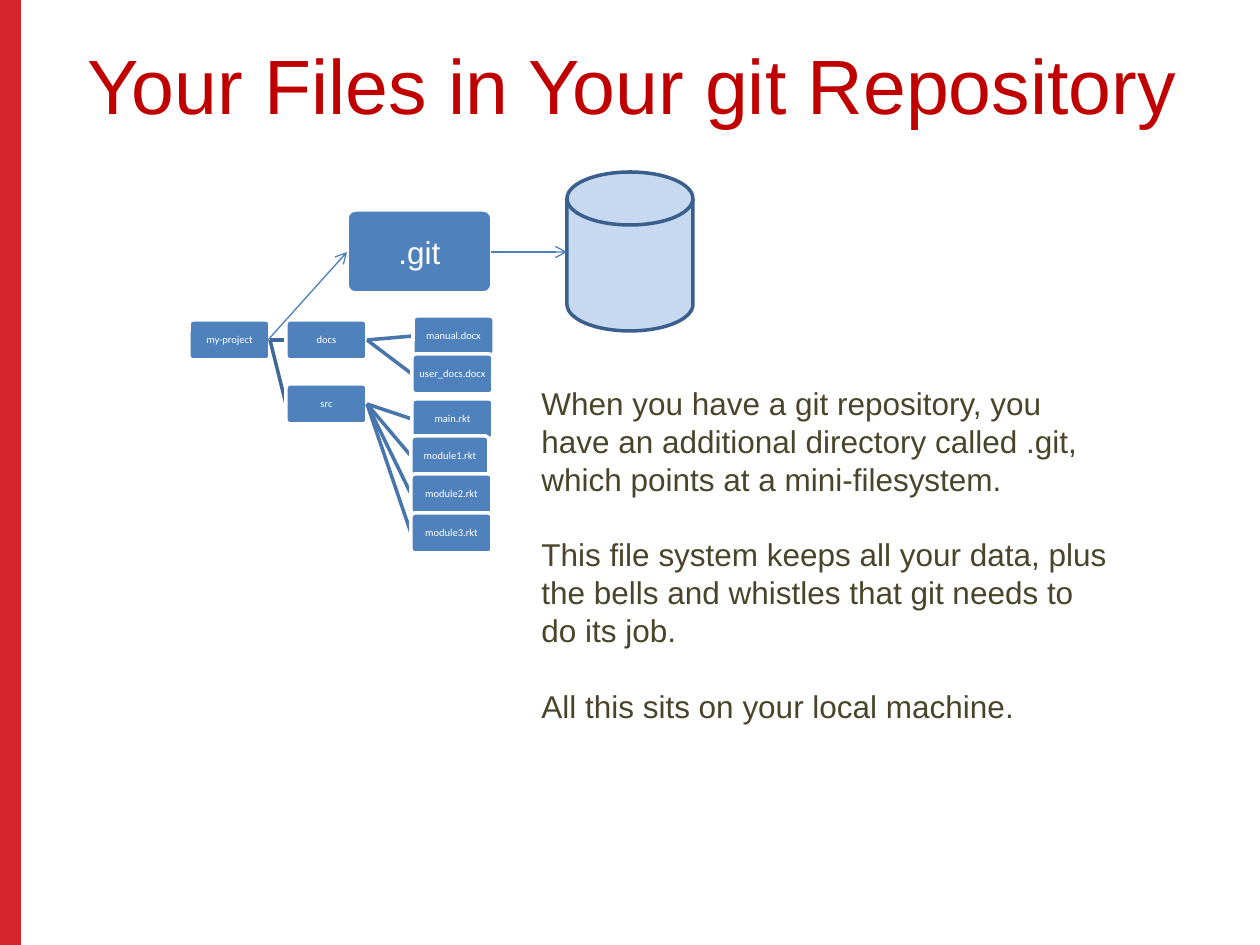
from lxml import etree
from pptx import Presentation
from pptx.dml.color import RGBColor
from pptx.enum.shapes import MSO_CONNECTOR, MSO_SHAPE
from pptx.enum.text import MSO_ANCHOR, PP_ALIGN
from pptx.oxml.ns import qn
from pptx.util import Emu, Pt

RECT, ROUND = MSO_SHAPE.RECTANGLE, MSO_SHAPE.ROUNDED_RECTANGLE
DISK = MSO_SHAPE.FLOWCHART_MAGNETIC_DISK
STRAIGHT = MSO_CONNECTOR.STRAIGHT
MIDDLE, TOP = MSO_ANCHOR.MIDDLE, MSO_ANCHOR.TOP
CENTER, LEFT = PP_ALIGN.CENTER, PP_ALIGN.LEFT

SCALE = 914400 / 126
COLORS = {
    "bar": "D10006", "title": "C00000", "body": "4A452A", "white": "FFFFFF",
    "node": "4F81BD", "disk": "C6D9F1", "edge": "3A5F8C",
    "trunk": "3F6797", "branch": "4875AC", "arrow": "4B7EBC",
}
NODE_TEXT = {"line_spacing": 0.9, "alignment": CENTER}
BODY_TEXT = {"line_spacing": Pt(21.6), "alignment": LEFT}

# name, left, top, width, children
TREE = ("my-project", 189, 320, 81, [
    ("docs", 286, 320, 81, [
        ("manual.docx", 413, 316, 81, []),
        ("user_docs.docx", 412, 354, 81, []),
    ]),
    ("src", 286, 384, 81, [
        ("main.rkt", 412, 399, 81, []),
        ("module1.rkt", 411, 436, 78, []),
        ("module2.rkt", 411, 474, 81, []),
        ("module3.rkt", 411, 513, 81, []),
    ]),
])
NODE_H = 40

BODY = [
    "When you have a git repository, you have an additional directory "
    "called .git, which points at a mini-filesystem.",
    "This file system keeps all your data, plus the bells and whistles "
    "that git needs to do its job.",
    "All this sits on your local machine.",
]


def px(*values):
    return [Emu(round(v * SCALE)) for v in values]


def color(name):
    return RGBColor.from_string(COLORS[name])


class Deck:
    def __init__(self, wide, high):
        self.file = Presentation()
        self.file.slide_width, self.file.slide_height = px(wide, high)
        self.slide = self.file.slides.add_slide(self.file.slide_layouts[6])
        self.font = "Arial"

    def label(self, shape, lines, size, ink, anchor, form, font=None, inset=None):
        frame = shape.text_frame
        values = {"word_wrap": True, "vertical_anchor": anchor}
        if inset is not None:
            for side in ("left", "right", "top", "bottom"):
                values["margin_" + side] = Emu(inset)
        for key, value in values.items():
            setattr(frame, key, value)
        for i, line in enumerate(lines):
            para = frame.add_paragraph() if i else frame.paragraphs[0]
            for key, value in form.items():
                setattr(para, key, value)
            if i:
                para.space_before = Pt(21.6)
            run = para.add_run()
            run.text = line
            run.font.name = font or self.font
            run.font.size = Pt(size)
            run.font.color.rgb = color(ink)

    def text(self, box, *style):
        self.label(self.slide.shapes.add_textbox(*px(*box)), *style)

    def shape(self, kind, box, fill, edge=None, alpha=None):
        shape = self.slide.shapes.add_shape(kind, *px(*box))
        shape.shadow.inherit = False
        shape.fill.solid()
        shape.fill.fore_color.rgb = color(fill)
        if alpha:
            tint = shape._element.spPr.find(".//" + qn("a:srgbClr"))
            etree.SubElement(tint, qn("a:alpha"), val=str(alpha * 1000))
        if edge:
            shape.line.color.rgb = color(edge)
            shape.line.width = Pt(2)
        else:
            shape.line.fill.background()
        return shape

    def node(self, box, name, size, font=None, inset=None):
        shape = self.shape(ROUND, box, "node", "white")
        shape.adjustments[0] = 0.1
        form = NODE_TEXT if font else {"alignment": CENTER}
        self.label(shape, [name], size, "white", MIDDLE, form, font, inset)

    def link(self, start, end, ink, width, arrow=False):
        line = self.slide.shapes.add_connector(STRAIGHT, *px(*start, *end))
        line.line.color.rgb = color(ink)
        line.line.width = Pt(width)
        props = line._element.spPr
        if arrow:
            etree.SubElement(props.find(qn("a:ln")), qn("a:tailEnd"), type="arrow")
        etree.SubElement(props, qn("a:effectLst"))

    def tree(self, item, ink="trunk"):
        """Draw a node, then each child after the link that leads to it."""
        name, left, top, wide, kids = item
        self.node((left, top, wide, NODE_H), name, 6, "Calibri", 0)
        for kid in kids:
            start = (left + wide, top + NODE_H // 2)
            end = (kid[1], kid[2] + NODE_H // 2)
            self.link(start, end, ink, 2)
            self.tree(kid, "branch")


def main():
    deck = Deck(1260, 945)
    deck.shape(RECT, (-3, 0, 24, 945), "bar", alpha=85)
    deck.text((53, 21, 1159, 126), ["Your Files in Your git Repository"],
              44, "title", MIDDLE, {"alignment": CENTER})
    deck.tree(TREE)
    deck.node((347, 210, 145, 83), ".git", 18)
    deck.shape(DISK, (567, 172, 126, 159), "disk", "edge")
    deck.link((491, 252), (567, 252), "arrow", 0.75, True)
    deck.link((268, 340), (347, 252), "arrow", 0.75, True)
    deck.text((529, 378, 591, 357), BODY, 18, "body", TOP, BODY_TEXT)
    deck.file.save("out.pptx")


if __name__ == "__main__":
    main()
